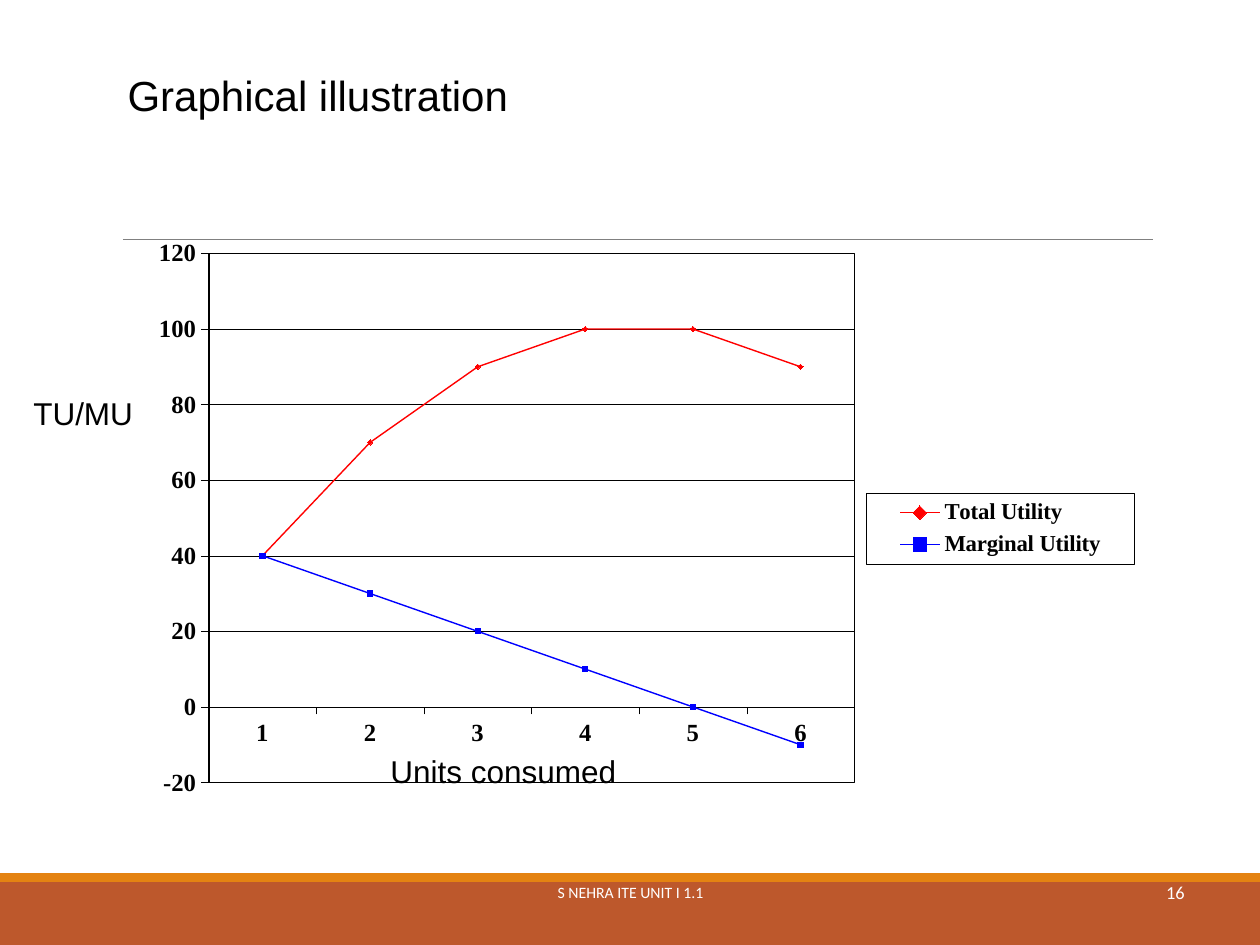
import lxml.etree
import pptx
import pptx.chart.data
import pptx.dml.color
import pptx.enum.chart
import pptx.enum.shapes
import pptx.enum.text
import pptx.oxml
import pptx.oxml.ns
import pptx.util
from dataclasses import dataclass

Pt = pptx.util.Pt
RGB = pptx.dml.color.RGBColor.from_string
Anchor = pptx.enum.text.MSO_ANCHOR
Align = pptx.enum.text.PP_ALIGN
qn = pptx.oxml.ns.qn
EMU_PER_PX = 914400 / 126


@dataclass(frozen=True)
class Theme:
    ink: str = "000000"
    paper: str = "FFFFFF"
    rule: str = "808080"
    band: str = "BD582C"
    stripe: str = "E48312"
    total: str = "FF0000"
    marginal: str = "0000FF"
    heading_size: float = 24
    label_size: float = 18
    axis_size: float = 14.1
    legend_size: float = 13
    footer_size: float = 9
    number_size: float = 10.5


theme = Theme()


def px(*lengths):
    return [pptx.util.Emu(round(length * EMU_PER_PX)) for length in lengths]


def set_font(font, name, size, color, bold=False):
    font.name = name
    font.size = Pt(size)
    font.bold = bold
    font.color.rgb = RGB(color)


deck = pptx.Presentation()
deck.slide_width, deck.slide_height = px(1260, 945)
page = deck.slides.add_slide(deck.slide_layouts[5])

# Bottom bands and the rule under the heading
for top, height, color in ((882, 63, theme.band), (873, 9, theme.stripe)):
    band = page.shapes.add_shape(
        pptx.enum.shapes.MSO_SHAPE.RECTANGLE, *px(0, top, 1260, height))
    band.shadow.inherit = False
    band.fill.solid()
    band.fill.fore_color.rgb = RGB(color)
    band.line.fill.background()

rule = page.shapes.add_connector(
    pptx.enum.shapes.MSO_CONNECTOR.STRAIGHT, *px(123, 239, 1153, 239))
rule.line.color.rgb = RGB(theme.rule)
rule.line.width = Pt(0.5)
lxml.etree.SubElement(rule._element.spPr, qn("a:effectLst"))

# Utility chart
data = pptx.chart.data.CategoryChartData()
data.categories = ["1", "2", "3", "4", "5", "6"]
data.add_series("Total Utility", (40, 70, 90, 100, 100, 90))
data.add_series("Marginal Utility", (40, 30, 20, 10, 0, -10))
chart = page.shapes.add_chart(
    pptx.enum.chart.XL_CHART_TYPE.LINE_MARKERS, *px(144, 231, 995, 592), data).chart
chart.has_title = False
set_font(chart.font, "Times New Roman", theme.axis_size, theme.ink, True)
chart.plots[0].vary_by_categories = False

values = chart.value_axis
values.minimum_scale, values.maximum_scale, values.major_unit = -20, 120, 20
values.has_major_gridlines = True
for axis in (chart.category_axis, values):
    axis.major_tick_mark = pptx.enum.chart.XL_TICK_MARK.OUTSIDE
    axis.minor_tick_mark = pptx.enum.chart.XL_TICK_MARK.NONE
    set_font(axis.tick_labels.font, "Times New Roman", theme.axis_size, theme.ink, True)
for item in (chart.category_axis, values, values.major_gridlines):
    item.format.line.color.rgb = RGB(theme.ink)
    item.format.line.width = Pt(0.2)

Marker = pptx.enum.chart.XL_MARKER_STYLE
looks = ((theme.total, Marker.DIAMOND), (theme.marginal, Marker.SQUARE))
for series, (color, style) in zip(chart.plots[0].series, looks):
    series.smooth = False
    series.format.line.color.rgb = RGB(color)
    series.format.line.width = Pt(0.78)
    series.marker.style = style
    series.marker.size = 3
    series.marker.format.fill.solid()
    series.marker.format.fill.fore_color.rgb = RGB(color)
    series.marker.format.line.color.rgb = RGB(color)

chart.has_legend = True
legend = chart.legend
legend.position = pptx.enum.chart.XL_LEGEND_POSITION.RIGHT
legend.include_in_layout = False
set_font(legend.font, "Times New Roman", theme.legend_size, theme.ink, True)


def place_and_frame(part, layout_index, frame_after, target, fractions, line_width):
    """Give a chart part a manual layout and a black outline."""
    for old in part.findall(qn("c:layout")):
        part.remove(old)
    sides = "".join(f'<c:{side} val="{value}"/>' for side, value in zip("xywh", fractions))
    declarations = pptx.oxml.ns.nsdecls("c", "a")
    part.insert(layout_index, pptx.oxml.parse_xml(
        f'<c:layout {declarations}><c:manualLayout>{target}<c:xMode val="edge"/>'
        f'<c:yMode val="edge"/>{sides}</c:manualLayout></c:layout>'))
    part.findall(qn(frame_after))[-1].addnext(pptx.oxml.parse_xml(
        f'<c:spPr {declarations}><a:noFill/><a:ln w="{Pt(line_width)}"><a:solidFill>'
        f'<a:srgbClr val="{theme.ink}"/></a:solidFill></a:ln></c:spPr>'))


plot_area = chart._chartSpace.chart.plotArea
place_and_frame(plot_area, 0, "c:valAx", '<c:layoutTarget val="inner"/>',
                (0.065, 0.038, 0.649, 0.894), 1)
place_and_frame(legend._element, 1, "c:overlay", "", (0.726, 0.443, 0.269, 0.12), 0.2)

# Heading
title = page.shapes.title
title.left, title.top, title.width, title.height = px(115, 63, 714, 63)
title.text_frame.text = "Graphical illustration"
title.text_frame.vertical_anchor = Anchor.TOP
title.text_frame.paragraphs[0].alignment = Align.LEFT
set_font(title.text_frame.paragraphs[0].font, "Arial", theme.heading_size, theme.ink)

# Footer, page number and axis labels
labels = (
    ("S NEHRA ITE UNIT I 1.1", (431, 861, 399, 63), Align.CENTER, Anchor.MIDDLE,
     "Calibri", theme.footer_size, theme.paper),
    ("16", (903, 861, 294, 63), Align.RIGHT, Anchor.MIDDLE,
     "Calibri", theme.number_size, theme.paper),
    ("TU/MU", (21, 388, 126, 50), Align.LEFT, Anchor.TOP,
     "Arial", theme.label_size, theme.ink),
    ("Units consumed", (378, 746, 253, 50), Align.LEFT, Anchor.TOP,
     "Arial", theme.label_size, theme.ink),
)
for text, place, align, anchor, face, size, color in labels:
    box = page.shapes.add_textbox(*px(*place))
    box.text_frame.word_wrap = anchor == Anchor.MIDDLE
    box.text_frame.vertical_anchor = anchor
    para = box.text_frame.paragraphs[0]
    para.text = text
    para.alignment = align
    set_font(para.font, face, size, color)

deck.save("out.pptx")
